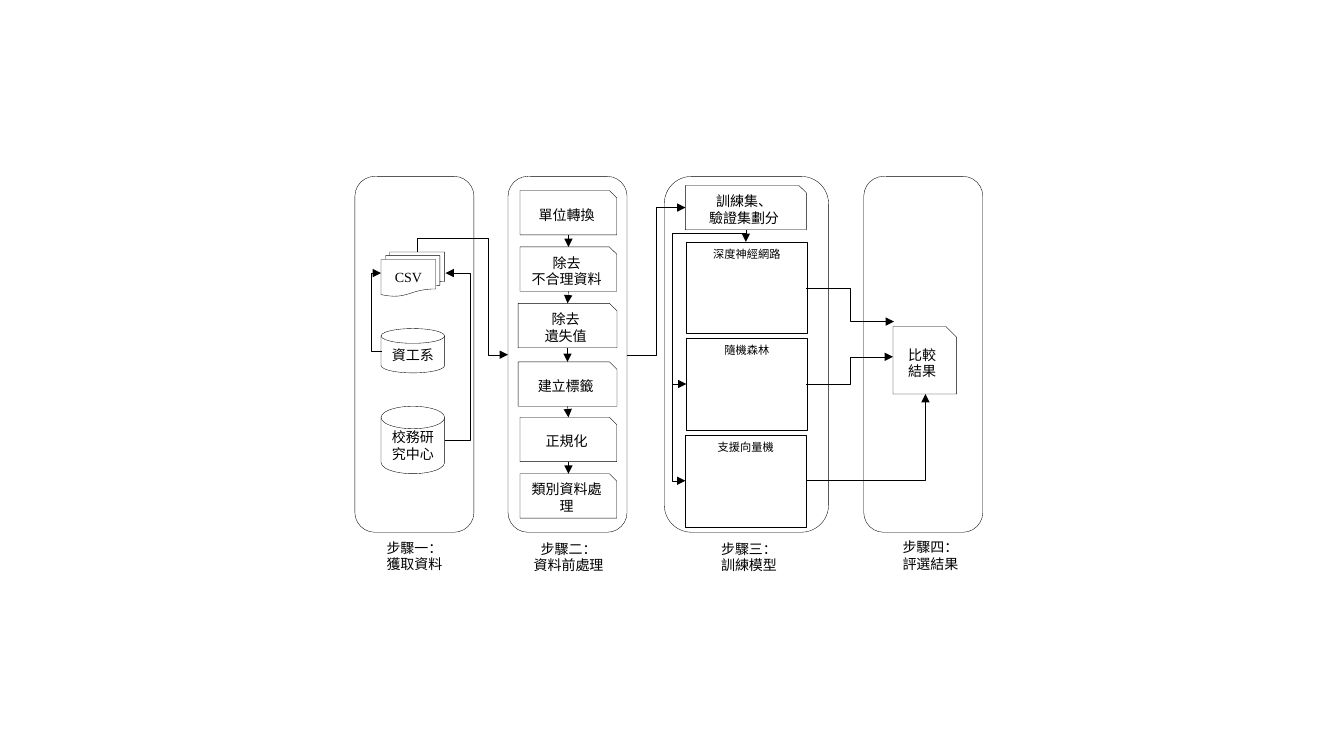
from dataclasses import dataclass
from itertools import pairwise

from lxml import etree
from pptx import Presentation
from pptx.dml.color import RGBColor
from pptx.enum import shapes, text
from pptx.oxml import ns
from pptx.util import Pt

KIND = shapes.MSO_SHAPE


@dataclass(frozen=True)
class Theme:
    ink: RGBColor = RGBColor(0, 0, 0)
    paper: RGBColor = RGBColor(255, 255, 255)
    font: str = "Noto Sans CJK SC"
    latin_font: str = "Times New Roman"
    body_size: float = 10
    model_size: float = 8
    line: float = 0.25
    heavy_line: float = 0.5


THEME = Theme()

PANELS = [(253.5, 85), (362.9, 85), (474.5, 117.4), (617, 85)]
CAPTIONS = [
    (253.5, 381.6, "步驟一：\n獲取資料"),
    (363.6, 382.3, "步驟二：\n資料前處理"),
    (492.5, 382.3, "步驟三：\n訓練模型"),
    (622.1, 380.9, "步驟四：\n評選結果"),
]
SOURCES = [
    (KIND.FLOWCHART_MAGNETIC_DISK, 290.2, 48.2, "校務研究中心", THEME.font),
    (KIND.FLOWCHART_MAGNETIC_DISK, 234.7, 31.7, "資工系", THEME.font),
    (KIND.FLOWCHART_MULTIDOCUMENT, 180, 31.7, "CSV", THEME.latin_font),
]
CLEANING = [
    (371.5, 136.1, 69.1, "單位轉換"),
    (371.5, 176.4, 69.1, "除去\n不合理資料"),
    (370.1, 216.7, 70.6, "除去\n遺失值"),
    (370.1, 258.5, 70.6, "建立標籤"),
    (371.5, 298.1, 69.1, "正規化"),
    (371.5, 338.4, 69.1, "類別資料處理"),
]
MODELS = [(490.3, "深度神經網路"), (490.3, "隨機森林"), (489.6, "支援向量機")]
STEP_HEIGHT = 31.7
SIDE_ROUTES = [
    ((317.5, 314.6), (318.2, 195.1), 335.5),
    ((272.9, 250.6), (272.2, 195.1), 265),
    ((447.8, 253.4), (489.6, 148.3), 468.7),
    ((576, 205.9), (638.6, 229.7), 607.3),
    ((576, 274.3), (637.9, 254.9), 607.3),
]
UPRIGHT_ROUTES = [
    ((298.1, 180), (362.9, 253.4), (349, 170)),
    ((532.8, 164.2), (489.6, 343.4), (480, 166.6)),
    ((532.8, 164.2), (490.3, 274.3), (480, 166.6)),
]


def write(shape, content, size, font, anchor):
    frame = shape.text_frame
    frame.word_wrap = True
    frame.vertical_anchor = anchor
    frame.text = content
    for paragraph in frame.paragraphs:
        paragraph.alignment = text.PP_ALIGN.CENTER
        paragraph.font.name = font
        paragraph.font.size = Pt(size)
        paragraph.font.color.rgb = THEME.ink
        properties = paragraph.font._element
        etree.SubElement(properties, ns.qn("a:ea")).set("typeface", font)


def add_box(slide, kind, bounds, content="", size=THEME.body_size, font=THEME.font,
            anchor=text.MSO_ANCHOR.MIDDLE):
    shape = slide.shapes.add_shape(kind, *map(Pt, bounds))
    shape.shadow.inherit = False
    shape.fill.solid()
    shape.fill.fore_color.rgb = THEME.paper
    shape.line.color.rgb = THEME.ink
    shape.line.width = Pt(THEME.line)
    if content:
        write(shape, content, size, font, anchor)
    return shape


def add_caption(slide, left, top, content):
    caption = add_box(slide, KIND.RECTANGLE, (left, top, 85, STEP_HEIGHT), content,
                      anchor=text.MSO_ANCHOR.TOP)
    caption.line.fill.background()
    caption.text_frame.auto_size = text.MSO_AUTO_SIZE.SHAPE_TO_FIT_TEXT


def add_arrow(slide, start, end, kind=shapes.MSO_CONNECTOR.STRAIGHT, width=THEME.line):
    connector = slide.shapes.add_connector(kind, *map(Pt, (*start, *end)))
    connector.line.color.rgb = THEME.ink
    connector.line.width = Pt(width)
    properties = connector.element.spPr
    outline = properties.find(ns.qn("a:ln"))
    etree.SubElement(outline, ns.qn("a:tailEnd")).set("type", "triangle")
    etree.SubElement(properties, ns.qn("a:effectLst"))
    return connector


def add_elbow(slide, start, end, preset, bends=(), width=THEME.line):
    connector = add_arrow(slide, start, end, shapes.MSO_CONNECTOR.ELBOW, width)
    geometry = connector.element.spPr.find(ns.qn("a:prstGeom"))
    geometry.set("prst", preset)
    guides = geometry.find(ns.qn("a:avLst"))
    for number, bend in enumerate(bends, 1):
        guide = etree.SubElement(guides, ns.qn("a:gd"))
        guide.set("name", f"adj{number}")
        guide.set("fmla", f"val {round(bend * 100000)}")
    return connector


def add_side_route(slide, start, end, turn):
    bend = (turn - start[0]) / (end[0] - start[0])
    add_elbow(slide, start, end, "bentConnector3", [bend])


def add_upright_route(slide, start, end, turn):
    run, drop = end[0] - start[0], end[1] - start[1]
    middle_x, middle_y = start[0] + run / 2, start[1] + drop / 2
    reach = drop / 2 if run > 0 else -drop / 2
    rise = abs(run) / 2
    bends = [(turn[1] - start[1]) / drop, (turn[0] - start[0]) / run]
    connector = add_elbow(slide, (middle_x + reach, middle_y - rise),
                          (middle_x - reach, middle_y + rise), "bentConnector4", bends)
    degrees = 270 if run > 0 else 90
    connector.element.spPr.find(ns.qn("a:xfrm")).set("rot", str(degrees * 60000))


def add_cleaning_steps(slide):
    for left, top, width, content in CLEANING:
        add_box(slide, KIND.SNIP_1_RECTANGLE, (left, top, width, STEP_HEIGHT), content)
    for (left, top, width, _), (next_left, next_top, next_width, _) in pairwise(CLEANING):
        add_arrow(slide, (left + width / 2, top + STEP_HEIGHT),
                  (next_left + next_width / 2, next_top))


def main():
    presentation = Presentation()
    presentation.slide_width, presentation.slide_height = Pt(960), Pt(540)
    slide = presentation.slides.add_slide(presentation.slide_layouts[6])

    for left, width in PANELS:
        add_box(slide, KIND.ROUNDED_RECTANGLE, (left, 126, width, 254.2))
    for caption in CAPTIONS:
        add_caption(slide, *caption)
    for kind, top, height, content, font in SOURCES:
        add_box(slide, kind, (272.2, top, 45.4, height), content, font=font)
    add_cleaning_steps(slide)
    add_box(slide, KIND.SNIP_1_RECTANGLE, (489.6, 132.5, 86.4, STEP_HEIGHT),
            "訓練集、\n驗證集劃分")
    for row, (left, content) in enumerate(MODELS):
        add_box(slide, KIND.RECTANGLE, (left, 172.8 + 69.1 * row, 86.4, 65.5), content,
                THEME.model_size, anchor=text.MSO_ANCHOR.TOP)
    add_box(slide, KIND.SNIP_1_RECTANGLE, (637.9, 233.3, 45.4, 48.2), "比較結果")

    add_arrow(slide, (532.8, 164.2), (532.8, 172.8))
    for route in SIDE_ROUTES:
        add_side_route(slide, *route)
    for route in UPRIGHT_ROUTES:
        add_upright_route(slide, *route)
    add_elbow(slide, (576, 343.4), (661, 281.5), "bentConnector2", width=THEME.heavy_line)

    presentation.save("out.pptx")


if __name__ == "__main__":
    main()
